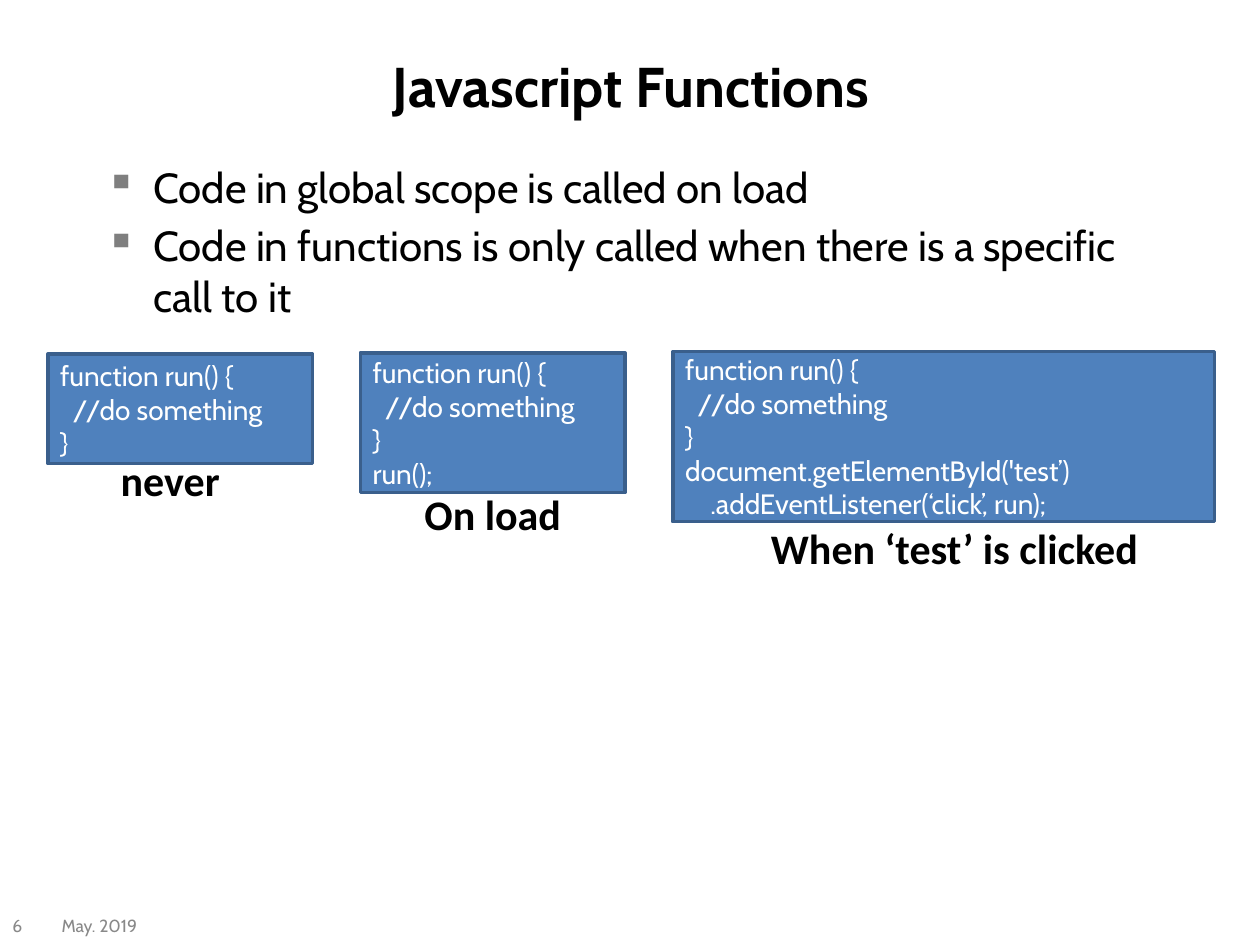
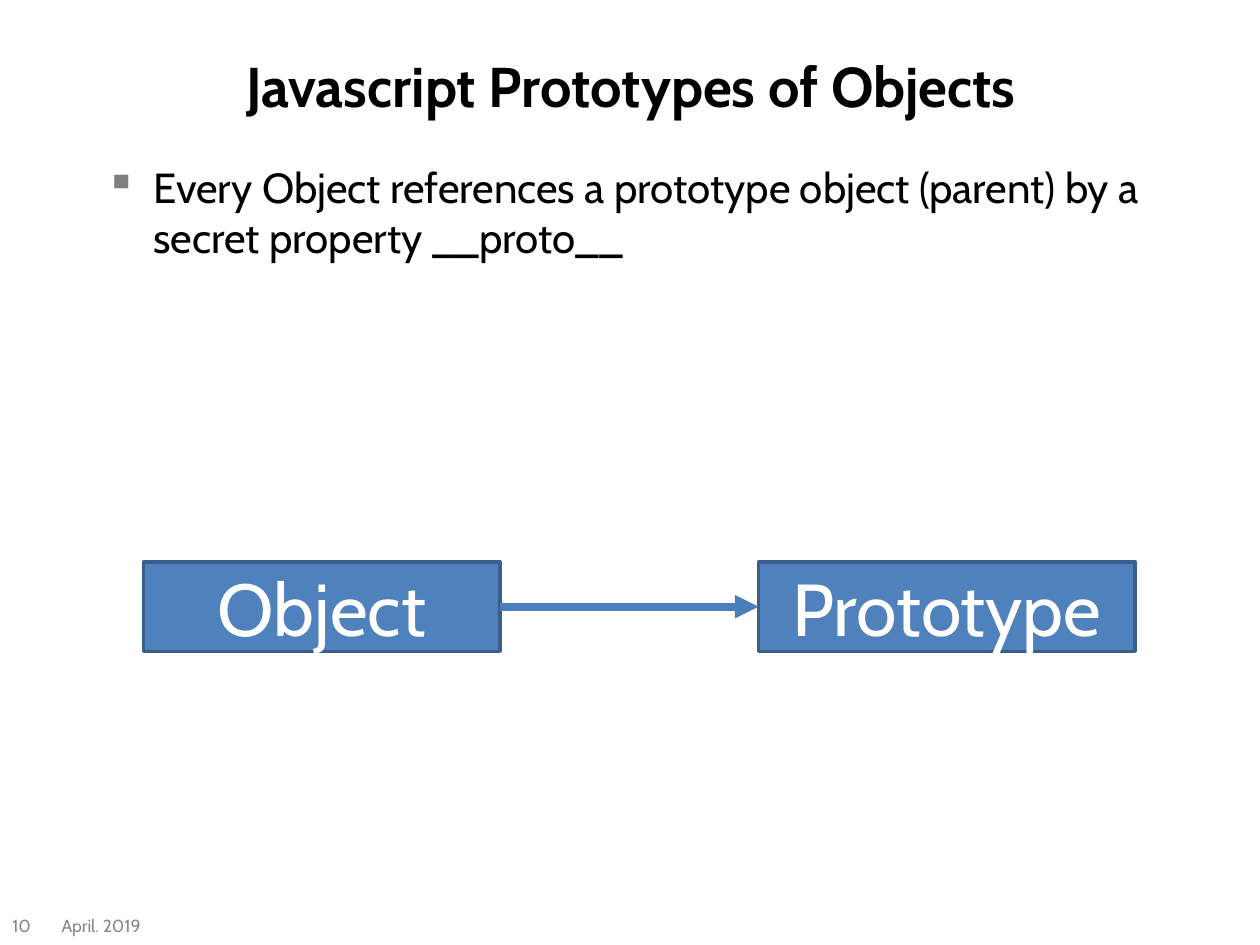
"""Build two slides on Javascript functions and prototypes."""
from dataclasses import dataclass

from lxml.etree import SubElement
from pptx import Presentation
from pptx.dml.color import RGBColor as Color
from pptx.enum.shapes import MSO_CONNECTOR as Link, MSO_SHAPE as Form
from pptx.enum.text import MSO_ANCHOR as Anchor, PP_ALIGN as Align
from pptx.oxml.ns import qn
from pptx.shapes.autoshape import Shape
from pptx.slide import Slide
from pptx.text.text import TextFrame
from pptx.util import Inches, Pt


@dataclass(frozen=True)
class Theme:
    font: str = "Cabin"
    label_font: str = "Calibri"
    ink: str = "000000"
    paper: str = "FFFFFF"
    fill: str = "4F81BD"
    edge: str = "3A5F8C"
    arrow: str = "4B7EBC"
    bullet: str = "7F7F7F"
    foot: str = "898989"
    title_size: float = 32
    body_size: float = 24
    code_size: float = 16
    node_size: float = 42
    foot_size: float = 10


@dataclass(frozen=True)
class Area:
    left: float
    top: float
    width: float
    height: float

    def inches(self) -> list[Inches]:
        return [Inches(n) for n in (self.left, self.top, self.width, self.height)]


@dataclass(frozen=True)
class Sample:
    width: float
    code: list[str]
    label: str
    label_left: float
    label_width: float


THEME = Theme()
TITLE = Area(0.51, 0.05, 9, 1.25)
BODY = Area(0.74, 1.23, 8.53, 5.67)
DATE = Area(0.39, 7.19, 0.94, 0.31)
NUMBER = Area(0, 7.19, 0.47, 0.31)
RUN = ["function run() {", "  //do something", "}"]
SAMPLES = [
    Sample(2.1, RUN, "never", 0.86, 1),
    Sample(2.1, RUN + ["run();"], "On load", 3.27, 1.3),
    Sample(4.3, RUN + ["document.getElementById('test’)",
                       "    .addEventListener(‘click’, run);"],
           "When ‘test’ is clicked", 6.02, 3.15),
]


def write(frame: TextFrame, lines: list[str], *, size: float, color: str = THEME.ink,
          font: str = THEME.font, bold: bool = False, align: Align = Align.LEFT,
          anchor: Anchor = Anchor.MIDDLE, wrap: bool = True, bullet: str = "") -> None:
    frame.word_wrap = wrap
    frame.vertical_anchor = anchor
    for i, line in enumerate(lines):
        para = frame.paragraphs[0] if i == 0 else frame.add_paragraph()
        para.alignment = align
        if bullet:
            props = para._p.get_or_add_pPr()
            props.set("marL", str(Inches(0.38)))
            props.set("indent", str(-Inches(0.38)))
            tint = SubElement(props, qn("a:buClr"))
            SubElement(tint, qn("a:srgbClr"), val=THEME.bullet)
            SubElement(props, qn("a:buChar"), char=bullet)
            para.space_before = Pt(0.2 * size if i else 0)
        run = para.add_run()
        run.text = line
        run.font.name = font
        run.font.size = Pt(size)
        run.font.bold = bold
        run.font.color.rgb = Color.from_string(color)


def add_text(slide: Slide, area: Area, lines: list[str], **style) -> None:
    write(slide.shapes.add_textbox(*area.inches()).text_frame, lines, **style)


def add_box(slide: Slide, area: Area, lines: list[str], **style) -> Shape:
    box = slide.shapes.add_shape(Form.RECTANGLE, *area.inches())
    box.shadow.inherit = False
    box.fill.solid()
    box.fill.fore_color.rgb = Color.from_string(THEME.fill)
    box.line.color.rgb = Color.from_string(THEME.edge)
    box.line.width = Pt(2)
    write(box.text_frame, lines, color=THEME.paper, **style)
    return box


def add_arrow(slide: Slide, start: Shape, end: Shape) -> None:
    arrow = slide.shapes.add_connector(Link.STRAIGHT, 0, 0, 0, 0)
    arrow.begin_connect(start, 3)
    arrow.end_connect(end, 1)
    arrow.line.color.rgb = Color.from_string(THEME.arrow)
    arrow.line.width = Pt(4.5)
    SubElement(arrow.line._get_or_add_ln(), qn("a:tailEnd"), type="triangle")
    SubElement(arrow._element.spPr, qn("a:effectLst"))


def add_page(deck: Presentation, title: str, points: list[str], date: str,
             number: int) -> Slide:
    slide = deck.slides.add_slide(deck.slide_layouts[6])
    add_text(slide, TITLE, [title], size=THEME.title_size, bold=True, align=Align.CENTER)
    add_text(slide, BODY, points, size=THEME.body_size, anchor=Anchor.TOP, bullet="▪")
    for area, note in ((DATE, date), (NUMBER, str(number))):
        add_text(slide, area, [note], size=THEME.foot_size, color=THEME.foot)
    return slide


def draw_calls(deck: Presentation) -> None:
    slide = add_page(deck, "Javascript Functions", [
        "Code in global scope is called on load",
        "Code in functions is only called when there is a specific call to it",
    ], "May. 2019", 6)
    for i, sample in enumerate(SAMPLES):
        area = Area(0.38 + 2.48 * i, 2.81 - 0.01 * i, sample.width, 0.87 + 0.24 * i)
        add_box(slide, area, sample.code, size=THEME.code_size)
        spot = Area(sample.label_left, 3.56 + 0.27 * i, sample.label_width, 0.5)
        add_text(slide, spot, [sample.label], size=THEME.body_size, bold=True,
                 font=THEME.label_font, anchor=Anchor.TOP, wrap=False)


def draw_proto(deck: Presentation) -> None:
    slide = add_page(deck, "Javascript Prototypes of Objects", [
        "Every Object references a prototype object (parent) by a secret property __proto__",
    ], "April. 2019", 10)
    child, parent = (
        add_box(slide, Area(left, 4.46, width, 0.71), [name],
                size=THEME.node_size, align=Align.CENTER)
        for name, left, width in (("Object", 1.14, 2.83), ("Prototype", 6.02, 2.99))
    )
    add_arrow(slide, child, parent)


def main() -> None:
    deck = Presentation()
    deck.slide_width = Inches(10)
    deck.slide_height = Inches(7.5)
    draw_calls(deck)
    draw_proto(deck)
    deck.save("out.pptx")


if __name__ == "__main__":
    main()
